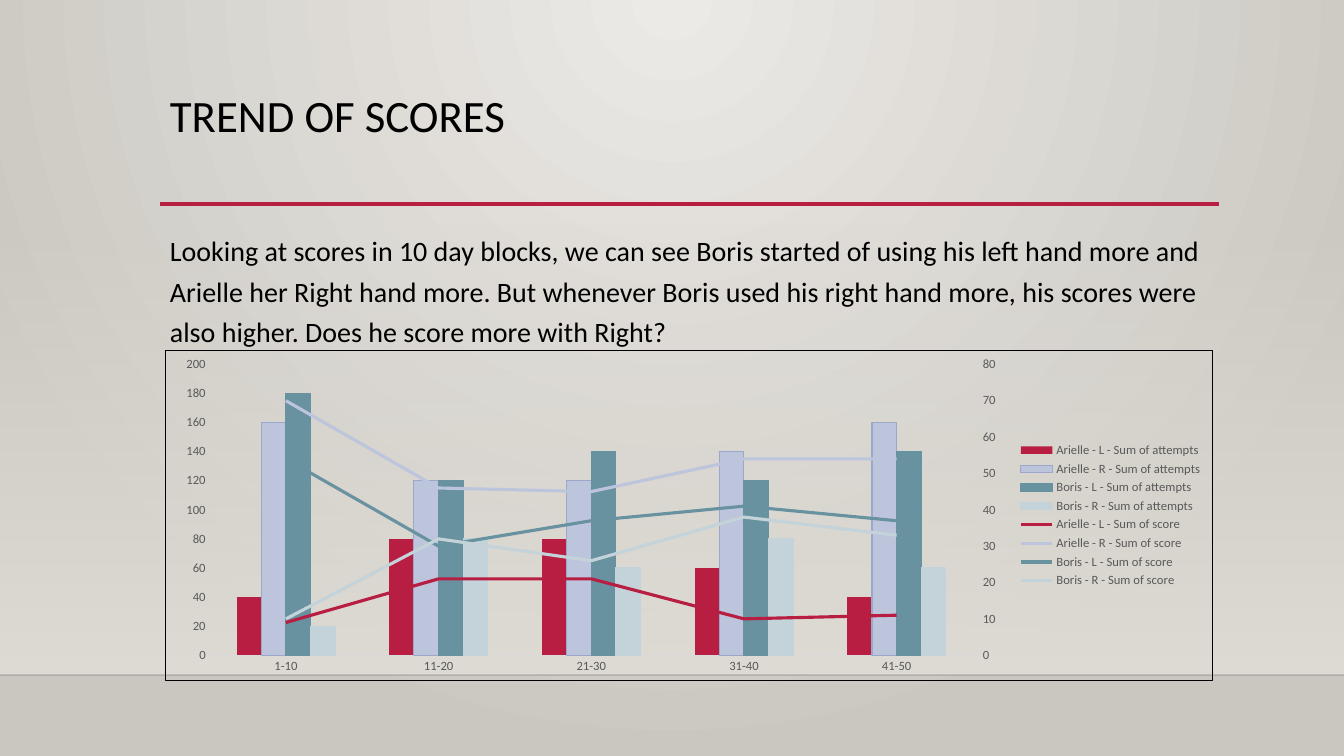
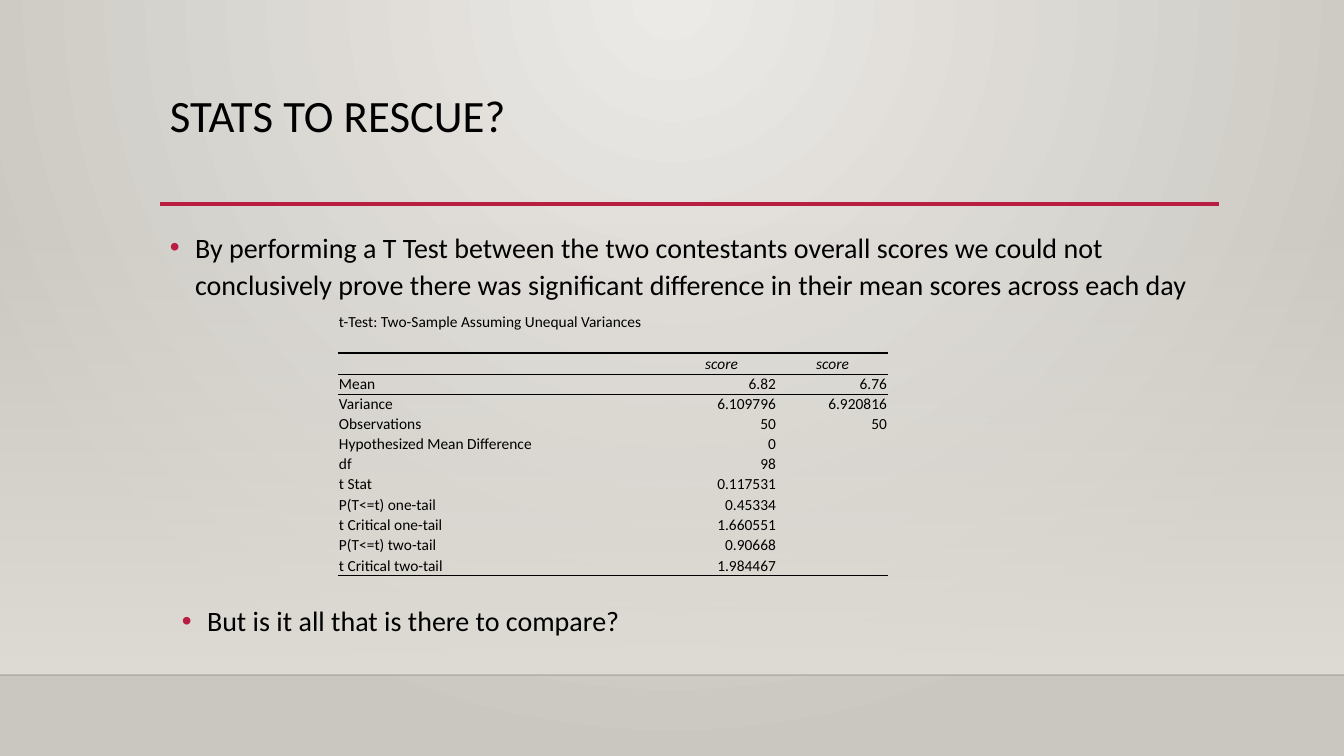
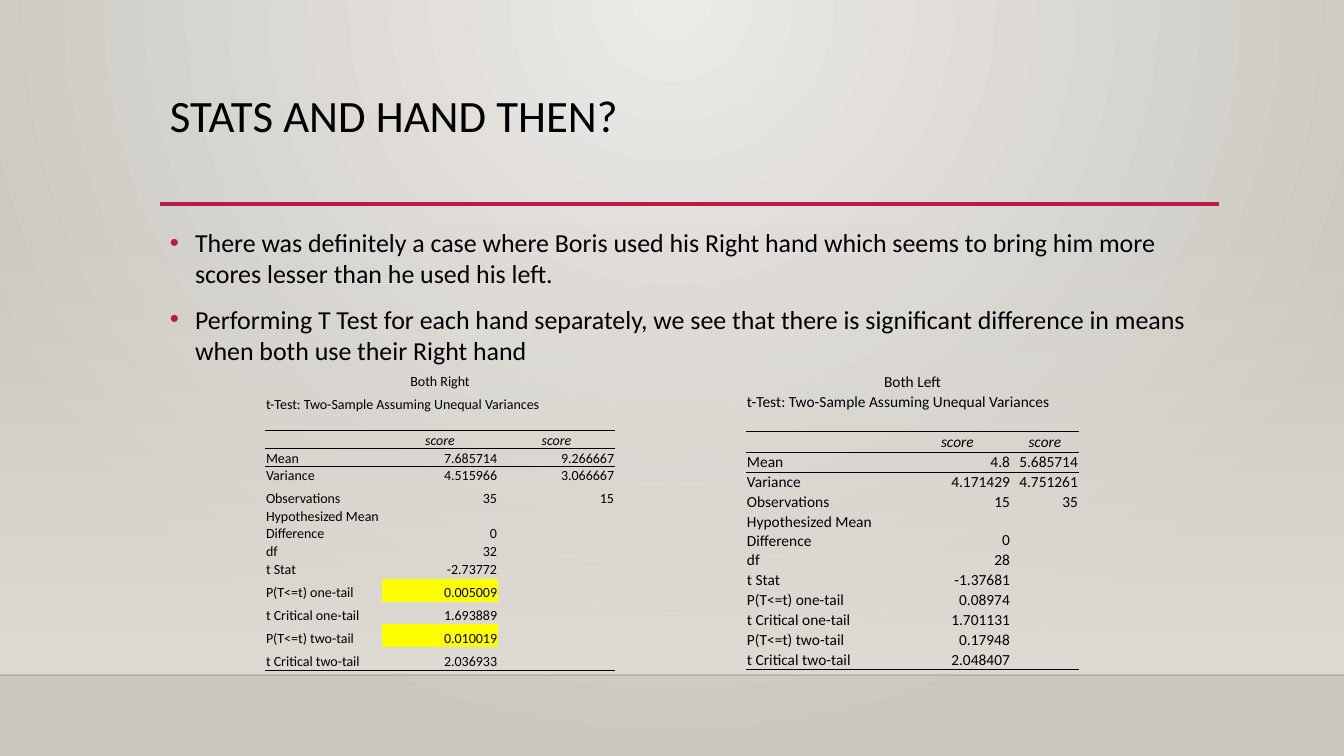
import copy

import lxml.etree
import pptx
import pptx.chart.data
import pptx.dml.color
import pptx.enum.chart
import pptx.enum.shapes
import pptx.enum.text
import pptx.oxml
import pptx.oxml.ns
import pptx.util

PX = 914400 / 100.8
FONT = "Calibri"
COLORS = {
    "text": "000000",
    "accent": "B71E42",
    "glow": "ECEAE7",
    "edge": "CAC7C1",
    "band": "DFDBD5",
    "floor": "000001",
    "label": "595959",
    "axis": "D9D9D9",
    "lilac": "BCC5DC",
    "lilac_edge": "9BA8CA",
    "teal": "6892A0",
    "mist": "C3D3D9",
    "highlight": "FFFF00",
}
TITLE_BOX = (160, 89, 1058, 116)
BACKDROP_SHADE = '<a:path path="circle"><a:fillToRect l="43000" t="0" r="43000" b="100000"/></a:path>'
BAND_SHADE = '<a:lin ang="5400000" scaled="0"/>'
NO_TABLE_STYLE = "{2D5ABB26-0587-4C30-8999-92F81FD0307C}"
NAMESPACES = pptx.oxml.ns.nsdecls("a", "c")

ALIGN = pptx.enum.text.PP_ALIGN
T_TEST_CAPTION = ("t-Test: Two-Sample Assuming Unequal Variances", ALIGN.LEFT)
STATISTICS = [
    "Mean", "Variance", "Observations", "Hypothesized Mean Difference", "df", "t Stat",
    "P(T<=t) one-tail", "t Critical one-tail", "P(T<=t) two-tail", "t Critical two-tail",
]
SERIES = [
    ("Arielle - L", "accent", None, (40, 80, 80, 60, 40), (9, 21, 21, 10, 11)),
    ("Arielle - R", "lilac", "lilac_edge", (160, 120, 120, 140, 160), (70, 46, 45, 54, 54)),
    ("Boris - L", "teal", "teal", (180, 120, 140, 120, 140), (54, 30, 37, 41, 37)),
    ("Boris - R", "mist", "mist", (20, 80, 60, 80, 60), (10, 32, 26, 38, 33)),
]


def px(length):
    return pptx.util.Emu(round(length * PX))


def place(box):
    return [px(length) for length in box]


def rgb(name):
    return pptx.dml.color.RGBColor.from_string(COLORS[name])


def qn(tag):
    return pptx.oxml.ns.qn(tag)


def add_xml(parent, tag, **attributes):
    return lxml.etree.SubElement(parent, qn(tag), **attributes)


def apply_format(target, values):
    for name, value in values.items():
        setattr(target, name, value)


def format_font(font, size, color="text", **values):
    apply_format(font, {"name": FONT, "size": pptx.util.Pt(size), **values})
    font.color.rgb = rgb(color)


def format_line(line, color, width):
    line.color.rgb = rgb(color)
    line.width = pptx.util.Pt(width)


def replace_with_gradient(element, stops, shade):
    solid = next(element.iter(qn("a:solidFill")))
    stop_xml = "".join(
        f'<a:gs pos="{position}"><a:srgbClr val="{COLORS[color]}"><a:alpha val="{alpha}"/></a:srgbClr></a:gs>'
        for position, color, alpha in stops
    )
    gradient = pptx.oxml.parse_xml(
        f'<a:gradFill {NAMESPACES} rotWithShape="1"><a:gsLst>{stop_xml}</a:gsLst>{shade}</a:gradFill>'
    )
    solid.getparent().replace(solid, gradient)


def add_rule(slide, left, right, y, color, width, alpha=100):
    connector = slide.shapes.add_connector(
        pptx.enum.shapes.MSO_CONNECTOR.STRAIGHT, px(left), px(y), px(right), px(y)
    )
    format_line(connector.line, color, width)
    properties = connector._element.spPr
    add_xml(next(properties.iter(qn("a:srgbClr"))), "a:alpha", val=str(alpha * 1000))
    add_xml(properties, "a:effectLst")


def add_text(slide, box, paragraphs, size, line_spacing, bullet=False, space_before=10):
    frame = slide.shapes.add_textbox(*place(box)).text_frame
    frame.word_wrap = True
    for index, text in enumerate(paragraphs):
        paragraph = frame.add_paragraph() if index else frame.paragraphs[0]
        apply_format(paragraph, {
            "line_spacing": line_spacing,
            "space_before": pptx.util.Pt(space_before),
        })
        run = paragraph.add_run()
        run.text = text
        format_font(run.font, size)
        if bullet:
            properties = paragraph._p.get_or_add_pPr()
            properties.set("marL", "228600")
            properties.set("indent", "-228600")
            bullet_color = add_xml(properties, "a:buClr")
            add_xml(bullet_color, "a:srgbClr", val=COLORS["accent"])
            add_xml(properties, "a:buFont", typeface="Arial")
            add_xml(properties, "a:buChar", char="•")


def add_titled_slide(presentation, title):
    slide = presentation.slides.add_slide(presentation.slide_layouts[6])
    slide.background.fill.solid()
    slide.background.fill.fore_color.rgb = rgb("glow")
    replace_with_gradient(
        slide._element, [(0, "glow", 100000), (100000, "edge", 100000)], BACKDROP_SHADE
    )
    band = slide.shapes.add_shape(
        pptx.enum.shapes.MSO_SHAPE.RECTANGLE, *place((0, 223, 1344, 452))
    )
    band.shadow.inherit = False
    band.line.fill.background()
    band.fill.solid()
    band.fill.fore_color.rgb = rgb("band")
    replace_with_gradient(
        band._element.spPr, [(0, "band", 0), (100000, "band", 100000)], BAND_SHADE
    )
    add_rule(slide, 0, 1344, 675, "floor", 1, alpha=20)
    add_rule(slide, 160, 1219, 204, "accent", 2.5)
    add_text(slide, TITLE_BOX, [title], 32, 0.9, space_before=0)
    return slide


def write_cell(cell, text, align, size, italic=False):
    apply_format(cell, {
        "margin_left": px(1), "margin_right": px(1), "margin_top": px(1), "margin_bottom": 0,
        "vertical_anchor": pptx.enum.text.MSO_ANCHOR.BOTTOM,
    })
    paragraph = cell.text_frame.paragraphs[0]
    paragraph.alignment = align
    if text:
        run = paragraph.add_run()
        run.text = text
        format_font(run.font, size, italic=italic)
    else:
        add_xml(paragraph._p, "a:endParaRPr", sz=str(size * 100))


def add_cell_borders(cell, top, bottom):
    properties = cell._tc.get_or_add_tcPr()
    borders = [(side, width) for side, width in (("lnT", top), ("lnB", bottom)) if width]
    for index, (side, width) in enumerate(borders):
        properties.insert(index, pptx.oxml.parse_xml(
            f'<a:{side} {NAMESPACES} w="{int(pptx.util.Pt(width))}"><a:solidFill>'
            f'<a:srgbClr val="{COLORS["text"]}"/></a:solidFill></a:{side}>'
        ))


def add_t_test(slide, left, top, columns, heights, size, captions, first, second, highlights=()):
    header = len(captions) + 1
    rules = {header - 1: 1, header: 0.5, len(heights) - 1: 1}
    second = second + [""] * (len(first) - len(second))
    rows = [(text, "", "") for text, align in captions]
    rows += [("", "", ""), ("", "score", "score"), *zip(STATISTICS, first, second)]
    box = (left, top, sum(columns), sum(heights))
    frame = slide.shapes.add_table(len(rows), len(columns), *place(box))
    table = frame.table
    apply_format(table, {"first_row": False, "horz_banding": False})
    next(table._tbl.iter(qn("a:tableStyleId"))).text = NO_TABLE_STYLE
    for column, width in zip(table.columns, columns):
        column.width = px(width)
    for row_index, (values, height) in enumerate(zip(rows, heights)):
        table.rows[row_index].height = px(height)
        for column_index, text in enumerate(values):
            cell = table.cell(row_index, column_index)
            is_header = row_index == header
            align = ALIGN.RIGHT if column_index else ALIGN.LEFT
            if is_header:
                align = ALIGN.CENTER
            elif row_index < len(captions):
                align = captions[row_index][1]
            write_cell(cell, text, align, size, italic=is_header)
            if column_index == 1 and values[0] in highlights:
                cell.fill.solid()
                cell.fill.fore_color.rgb = rgb("highlight")
            else:
                cell.fill.background()
            add_cell_borders(cell, rules.get(row_index - 1), rules.get(row_index))
    for row_index in range(len(captions)):
        table.cell(row_index, 0).merge(table.cell(row_index, len(columns) - 1))


def move_scores_to_right_axis(chart):
    plot_area = next(chart._chartSpace.iter(qn("c:plotArea")))
    bar_chart = plot_area.find(qn("c:barChart"))
    line_chart = pptx.oxml.parse_xml(
        f'<c:lineChart {NAMESPACES}><c:grouping val="standard"/><c:varyColors val="0"/></c:lineChart>'
    )
    for series in bar_chart.findall(qn("c:ser"))[len(SERIES):]:
        for flag in series.findall(qn("c:invertIfNegative")):
            series.remove(flag)
        line_chart.append(series)
    add_xml(line_chart, "c:marker", val="1")
    bar_chart.addnext(line_chart)

    category_axis = copy.deepcopy(plot_area.find(qn("c:catAx")))
    last_axis = plot_area.find(qn("c:valAx"))
    value_axis = copy.deepcopy(last_axis)
    category_id, value_id = "50010", "50020"
    changes = [
        (category_axis, {"axId": category_id, "crossAx": value_id, "delete": "1"}),
        (value_axis, {"axId": value_id, "crossAx": category_id, "axPos": "r",
                      "crosses": "max", "majorTickMark": "out"}),
    ]
    for axis, settings in changes:
        for tag, value in settings.items():
            axis.find(qn(f"c:{tag}")).set("val", value)
        add_xml(line_chart, "c:axId", val=settings["axId"])
        last_axis.addnext(axis)
        last_axis = axis


def add_scores_chart(slide, box):
    data = pptx.chart.data.CategoryChartData()
    data.categories = ["1-10", "11-20", "21-30", "31-40", "41-50"]
    for measure, column in (("attempts", 3), ("score", 4)):
        for player in SERIES:
            data.add_series(f"{player[0]} - Sum of {measure}", player[column])
    chart = slide.shapes.add_chart(
        pptx.enum.chart.XL_CHART_TYPE.COLUMN_CLUSTERED, *place(box), data
    ).chart
    apply_format(chart, {"has_title": False, "has_legend": True})
    format_font(chart.font, 10)
    apply_format(chart.legend, {
        "position": pptx.enum.chart.XL_LEGEND_POSITION.RIGHT, "include_in_layout": False,
    })
    format_font(chart.legend.font, 9, "label")
    for axis in (chart.category_axis, chart.value_axis):
        apply_format(axis, {
            "has_major_gridlines": False,
            "major_tick_mark": pptx.enum.chart.XL_TICK_MARK.NONE,
            "minor_tick_mark": pptx.enum.chart.XL_TICK_MARK.NONE,
        })
        format_font(axis.tick_labels.font, 9, "label")
    format_line(chart.category_axis.format.line, "axis", 0.75)
    chart.value_axis.format.line.fill.background()
    move_scores_to_right_axis(chart)

    columns, lines = chart.plots
    apply_format(columns, {"gap_width": 219, "overlap": 0, "vary_by_categories": False})
    for (name, color, edge, attempts, scores), bar, line in zip(SERIES, columns.series, lines.series):
        bar.format.fill.solid()
        bar.format.fill.fore_color.rgb = rgb(color)
        if edge:
            format_line(bar.format.line, edge, 0.75)
        else:
            bar.format.line.fill.background()
        format_line(line.format.line, color, 2.25)
        line.smooth = False
        line.marker.style = pptx.enum.chart.XL_MARKER_STYLE.NONE
    chart._chartSpace.find(qn("c:chart")).addnext(pptx.oxml.parse_xml(
        f'<c:spPr {NAMESPACES}><a:noFill/><a:ln w="{int(pptx.util.Pt(0.75))}"><a:solidFill>'
        f'<a:srgbClr val="{COLORS["text"]}"/></a:solidFill></a:ln></c:spPr>'
    ))


def build_trend_slide(presentation):
    slide = add_titled_slide(presentation, "TREND OF SCORES")
    add_text(slide, (160, 222, 1058, 380), [
        "Looking at scores in 10 day blocks, we can see Boris started of using his left hand more "
        "and Arielle her Right hand more. But whenever Boris used his right hand more, his scores "
        "were also higher. Does he score more with Right?"
    ], 20, 1.2)
    add_scores_chart(slide, (165, 350, 1048, 331))


def build_overall_slide(presentation):
    slide = add_titled_slide(presentation, "STATS TO RESCUE?")
    add_text(slide, (160, 222, 1058, 91), [
        "By performing a T Test between the two contestants overall scores we could not "
        "conclusively prove there was significant difference in their mean scores across each day"
    ], 20, 1.1, bullet=True)
    add_t_test(
        slide, 338, 312, [328, 111, 111], [20, 21, 21] + [20] * 6 + [21, 20, 20, 21], 11,
        [T_TEST_CAPTION],
        ["6.82", "6.109796", "50", "0", "98", "0.117531", "0.45334", "1.660551", "0.90668", "1.984467"],
        ["6.76", "6.920816", "50"],
    )
    add_text(slide, (172, 592, 1058, 91), ["But is it all that is there to compare?"], 20, 1.2, bullet=True)


def build_hands_slide(presentation):
    slide = add_titled_slide(presentation, "STATS AND HAND THEN?")
    add_text(slide, (160, 222, 1058, 156), [
        "There was definitely a case where Boris used his Right hand which seems to bring him more "
        "scores lesser than he used his left.",
        "Performing T Test for each hand separately, we see that there is significant difference in "
        "means when both use their Right hand",
    ], 18.5, 1.0, bullet=True)
    add_t_test(
        slide, 265, 372, [117, 116, 117],
        [17, 23, 18, 18, 18, 17, 23, 35, 18, 18] + [23] * 4, 10,
        [("Both Right", ALIGN.CENTER), T_TEST_CAPTION],
        ["7.685714", "4.515966", "35", "0", "32", "-2.73772", "0.005009", "1.693889", "0.010019", "2.036933"],
        ["9.266667", "3.066667", "15"],
        highlights=("P(T<=t) one-tail", "P(T<=t) two-tail"),
    )
    add_t_test(
        slide, 746, 372, [158, 107, 68], [20] * 7 + [38] + [20] * 6, 11,
        [("Both Left", ALIGN.CENTER), T_TEST_CAPTION],
        ["4.8", "4.171429", "15", "0", "28", "-1.37681", "0.08974", "1.701131", "0.17948", "2.048407"],
        ["5.685714", "4.751261", "35"],
    )


def main():
    presentation = pptx.Presentation()
    apply_format(presentation, {"slide_width": px(1344), "slide_height": px(756)})
    build_trend_slide(presentation)
    build_overall_slide(presentation)
    build_hands_slide(presentation)
    presentation.save("out.pptx")


if __name__ == "__main__":
    main()
